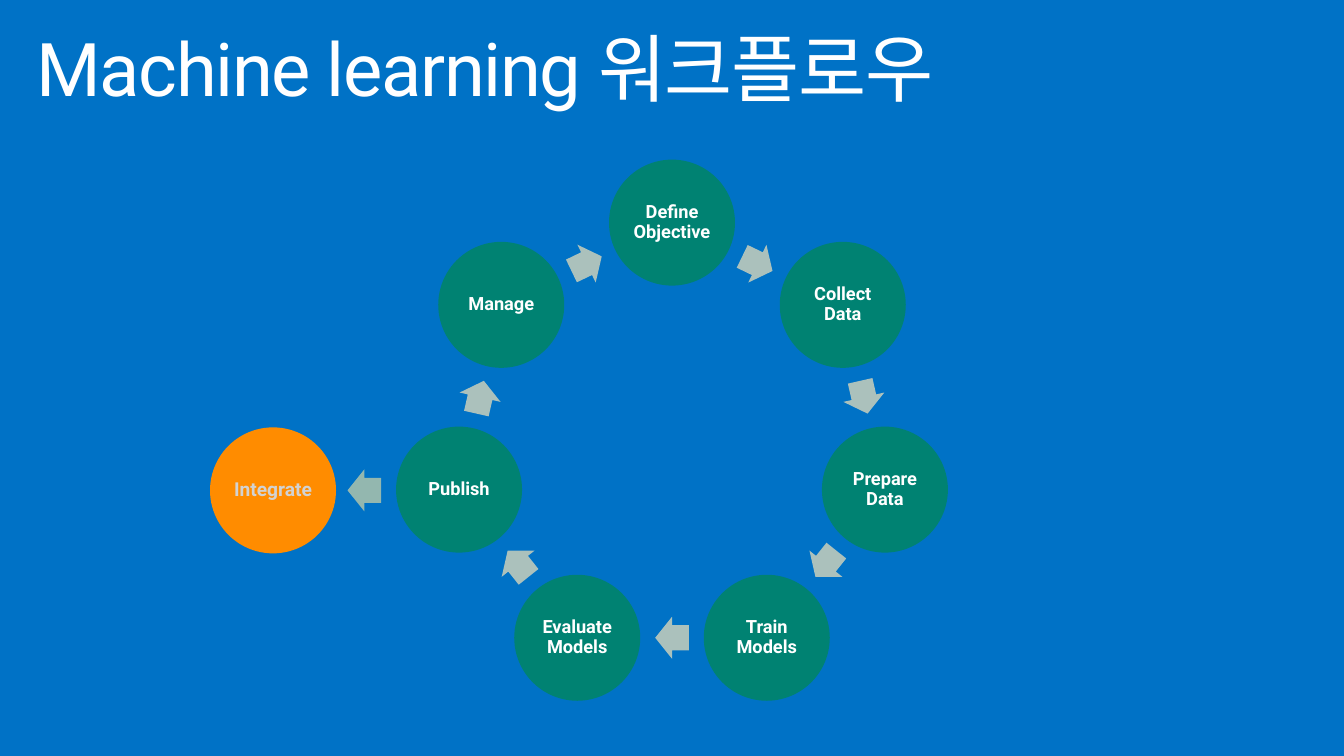
from dataclasses import dataclass
from math import cos, pi, radians, sin

from pptx import Presentation
from pptx.dml.color import RGBColor
from pptx.enum.shapes import MSO_SHAPE as SHAPE
from pptx.enum.text import MSO_ANCHOR as ANCHOR, PP_ALIGN as ALIGN
from pptx.util import Pt

PX = 9525


@dataclass(frozen=True)
class Theme:
    """Colours, font and type sizes of the slide."""
    font: str = "Roboto"
    background: str = "0072C6"
    white: str = "FFFFFF"
    step: str = "008272"
    arrow: str = "ABC1BC"
    side_arrow: str = "93B7AF"
    side_step: str = "FF8C00"
    side_text: str = "D2D2D2"
    title_size: float = 52.9
    step_size: float = 13
    side_size: float = 13.7


THEME = Theme()
STEPS = ["Define Objective", "Collect Data", "Prepare Data", "Train Models",
         "Evaluate Models", "Publish", "Manage"]
RING_X, RING_Y, RING_R = 640, 420, 208
CIRCLE = 120
ARROW_W, ARROW_H = 32, 40


def px(n):
    """Turn pixels into EMU."""
    return round(n * PX)


def write(tf, text, size, color=THEME.white, bold=False, align=ALIGN.LEFT,
          anchor=ANCHOR.MIDDLE, inset=(2, 2), spacing=None):
    """Put one formatted paragraph into a text frame."""
    tf.word_wrap = True
    tf.vertical_anchor = anchor
    tf.margin_left = tf.margin_right = px(inset[0])
    tf.margin_top = tf.margin_bottom = px(inset[1])
    p = tf.paragraphs[0]
    p.alignment, p.line_spacing = align, 0.9
    r = p.add_run()
    r.text = text
    r.font.name, r.font.size, r.font.bold = THEME.font, Pt(size), bold
    r.font.color.rgb = RGBColor.from_string(color)
    if spacing is not None:
        r.font._element.set("spc", str(spacing))


def add_centred(s, kind, x, y, w, h, fill):
    """Add a flat shape centred on a point."""
    sp = s.shapes.add_shape(kind, px(x - w / 2), px(y - h / 2), px(w), px(h))
    sp.shadow.inherit = False
    sp.fill.solid()
    sp.fill.fore_color.rgb = RGBColor.from_string(fill)
    sp.line.fill.background()
    return sp


def add_step(s, text, x, y, fill=THEME.step, **fmt):
    """Add a labelled circle."""
    sp = add_centred(s, SHAPE.OVAL, x, y, CIRCLE, CIRCLE, fill)
    fmt = {"size": THEME.step_size, **fmt}
    write(sp.text_frame, text, bold=True, align=ALIGN.CENTER, **fmt)


def add_arrow(s, x, y, angle, fill=THEME.arrow):
    """Add a block arrow turned to an angle in degrees."""
    sp = add_centred(s, SHAPE.RIGHT_ARROW, x, y, ARROW_W, ARROW_H, fill)
    sp.adjustments[0], sp.adjustments[1] = 0.6, 0.5
    sp.rotation = angle


def ring_point(angle, radius):
    """Find a point on the ring, clockwise from the top."""
    a = radians(angle)
    return RING_X + radius * sin(a), RING_Y - radius * cos(a)


def add_cycle(s, steps):
    """Lay the steps around a ring with an arrow between neighbours."""
    turn = 360 / len(steps)
    chord_r = RING_R * cos(pi / len(steps))
    for i, text in enumerate(steps):
        add_step(s, text, *ring_point(i * turn, RING_R))
        middle = (i + 0.5) * turn
        add_arrow(s, *ring_point(middle, chord_r), middle)


def add_title(s, text):
    """Fill and place the title placeholder."""
    sp = s.shapes.title
    sp.left, sp.top, sp.width, sp.height = map(px, (28, 31, 1224, 94))
    write(sp.text_frame, text, THEME.title_size, anchor=ANCHOR.TOP,
          inset=(7, 0), spacing=-100)


def main():
    """Build the workflow slide."""
    prs = Presentation()
    prs.slide_width, prs.slide_height = px(1280), px(720)
    s = prs.slides.add_slide(prs.slide_layouts[5])
    s.background.fill.solid()
    s.background.fill.fore_color.rgb = RGBColor.from_string(THEME.background)
    add_title(s, "Machine learning 워크플로우")
    add_cycle(s, STEPS)
    add_arrow(s, 347, 467, 180, THEME.side_arrow)
    add_step(s, "Integrate", 260, 467, THEME.side_step,
             size=THEME.side_size, color=THEME.side_text)
    prs.save("out.pptx")


if __name__ == "__main__":
    main()
